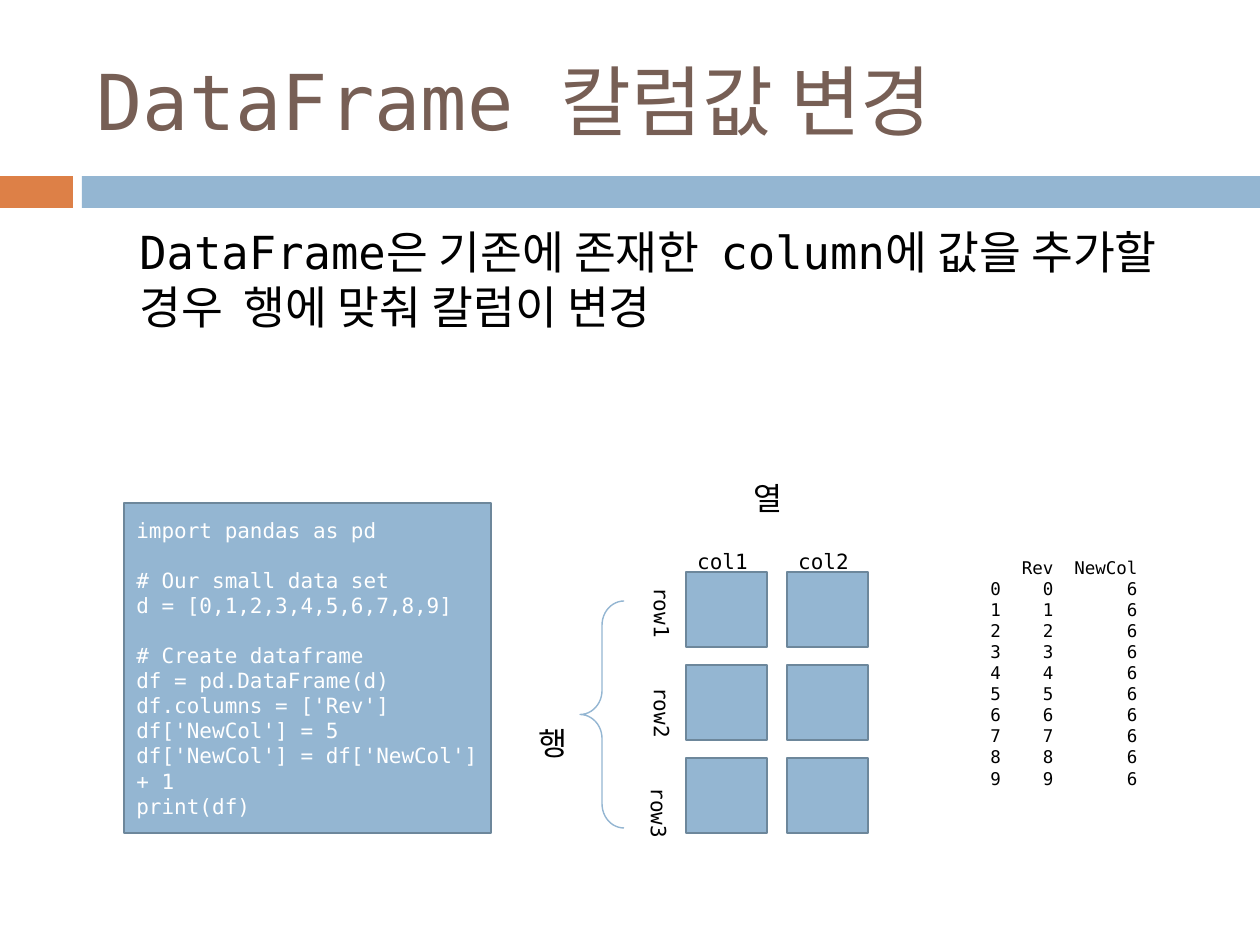
import pptx
import pptx.util
import pptx.dml.color
import pptx.enum.shapes
import pptx.enum.text
from lxml import etree

RGB = pptx.dml.color.RGBColor
SHAPE = pptx.enum.shapes.MSO_SHAPE
ALIGN = pptx.enum.text.PP_ALIGN
ANCHOR = pptx.enum.text.MSO_ANCHOR
Pt = pptx.util.Pt

BLUE = RGB(0x94, 0xB6, 0xD2)
EDGE = RGB(0x6D, 0x87, 0x9B)
ORANGE = RGB(0xDD, 0x80, 0x47)
BROWN = RGB(0x77, 0x5F, 0x55)
BLACK = RGB(0, 0, 0)
WHITE = RGB(255, 255, 255)
FONT = "DejaVu Sans Mono"
SCALE = 914400 / 126
NS = "{http://schemas.openxmlformats.org/drawingml/2006/main}"

CODE = [
    "import pandas as pd",
    "# Our small data set",
    "d = [0,1,2,3,4,5,6,7,8,9]",
    "# Create dataframe",
    "df = pd.DataFrame(d)",
    "df.columns = ['Rev']",
    "df['NewCol'] = 5",
    "df['NewCol'] = df['NewCol'] + 1",
    "print(df)",
]


def px(*nums):
    return [round(n * SCALE) for n in nums]


def write(frame, lines, size, color, align=ALIGN.LEFT):
    frame.word_wrap = True
    frame.text = "\n".join(lines)
    for para in frame.paragraphs:
        para.alignment = align
        para.font.size = Pt(size)
        para.font.name = FONT
        para.font.color.rgb = color


def label(slide, box, lines, size, color=BLACK, align=ALIGN.LEFT):
    frame = slide.shapes.add_textbox(*px(*box)).text_frame
    write(frame, lines, size, color, align)
    return frame


def rect(slide, box, fill, edge=None):
    shape = slide.shapes.add_shape(SHAPE.RECTANGLE, *px(*box))
    shape.shadow.inherit = False
    shape.fill.solid()
    shape.fill.fore_color.rgb = fill
    if edge is None:
        shape.line.fill.background()
    else:
        shape.line.color.rgb = edge
        shape.line.width = Pt(1.5)
    return shape


def brace(slide, box):
    shape = slide.shapes.add_shape(SHAPE.RIGHT_BRACE, *px(*box))
    shape.shadow.inherit = False
    shape.rotation = 180
    shape.adjustments[0] = 0.55
    shape.fill.background()
    shape.line.color.rgb = BLUE
    shape.line.width = Pt(0.79)


def turn(frame):
    """Run the text downwards on one line."""
    frame.word_wrap = False
    frame._txBody.bodyPr.set("vert", "eaVert")


def set_tabs(frame, stops):
    """Give every paragraph right-aligned tab stops."""
    for para in frame.paragraphs:
        tabs = etree.SubElement(para._p.get_or_add_pPr(), NS + "tabLst")
        # Tab stops come before the default run properties
        tabs.getparent().insert(0, tabs)
        for stop in px(*stops):
            etree.SubElement(tabs, NS + "tab", pos=str(stop), algn="r")


def code(slide):
    shape = rect(slide, (124, 503, 367, 330), BLUE, EDGE)
    frame = shape.text_frame
    frame.vertical_anchor = ANCHOR.MIDDLE
    write(frame, CODE, 12, WHITE)
    for para in frame.paragraphs:
        if para.text.startswith("#"):
            para.space_before = Pt(14)


def grid(slide):
    for col in range(2):
        left = 686 + 101 * col
        label(slide, (left - 8, 542, 89, 33), [f"col{col + 1}"], 12,
              align=ALIGN.CENTER)
        for row in range(3):
            rect(slide, (left, 572 + 93 * row, 81, 75), BLUE, EDGE)
    for row, left in enumerate((636, 636, 633)):
        turn(label(slide, (left, 575 + 100 * row, 45, 54),
                   [f"row{row + 1}"], 12))
    label(slide, (741, 473, 72, 50), ["열"], 18)
    label(slide, (526, 718, 72, 43), ["행"], 18)
    brace(slide, (580, 601, 44, 227))


def output(slide):
    lines = ["\tRev\tNewCol"] + [f"{n}\t{n}\t6" for n in range(10)]
    frame = label(slide, (978, 551, 179, 246), lines, 10)
    set_tabs(frame, (63, 147))


def main():
    deck = pptx.Presentation()
    deck.slide_width, deck.slide_height = px(1260, 945)
    slide = deck.slides.add_slide(deck.slide_layouts[6])

    # Header band and title
    rect(slide, (0, 176, 73, 32), ORANGE)
    rect(slide, (82, 176, 1178, 32), BLUE)
    title = label(slide, (84, 32, 1124, 136), ["DataFrame 칼럼값 변경"],
                  44, BROWN)
    title.vertical_anchor = ANCHOR.MIDDLE

    # Statement
    text = "DataFrame은 기존에 존재한  column에 값을 추가할 경우  행에 맞춰 칼럼이 변경"
    body = label(slide, (127, 218, 1071, 126), [text], 26)
    body.paragraphs[0].space_before = Pt(5.5)

    # Code, cell diagram and printed result
    code(slide)
    grid(slide)
    output(slide)

    deck.save("out.pptx")


if __name__ == "__main__":
    main()
